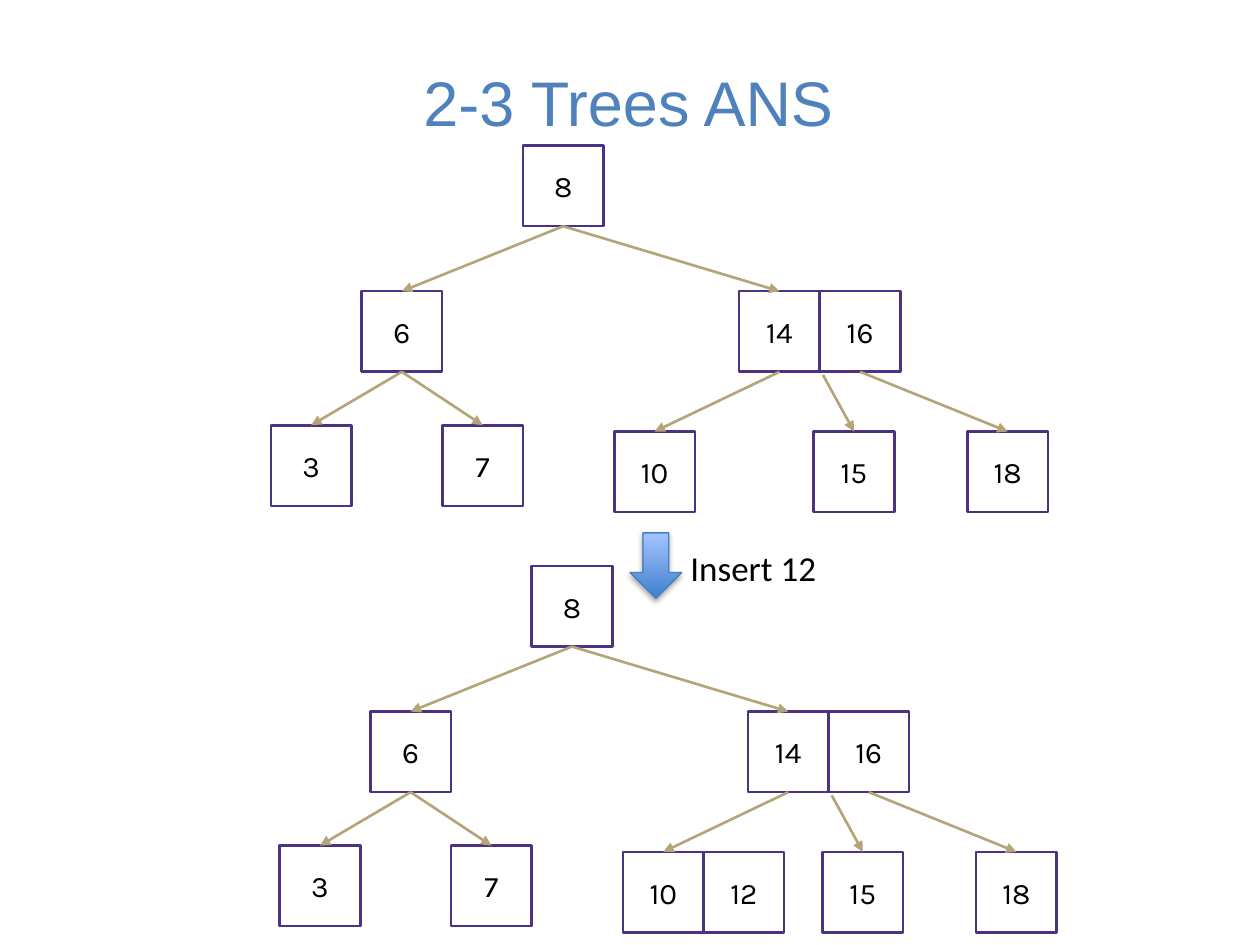
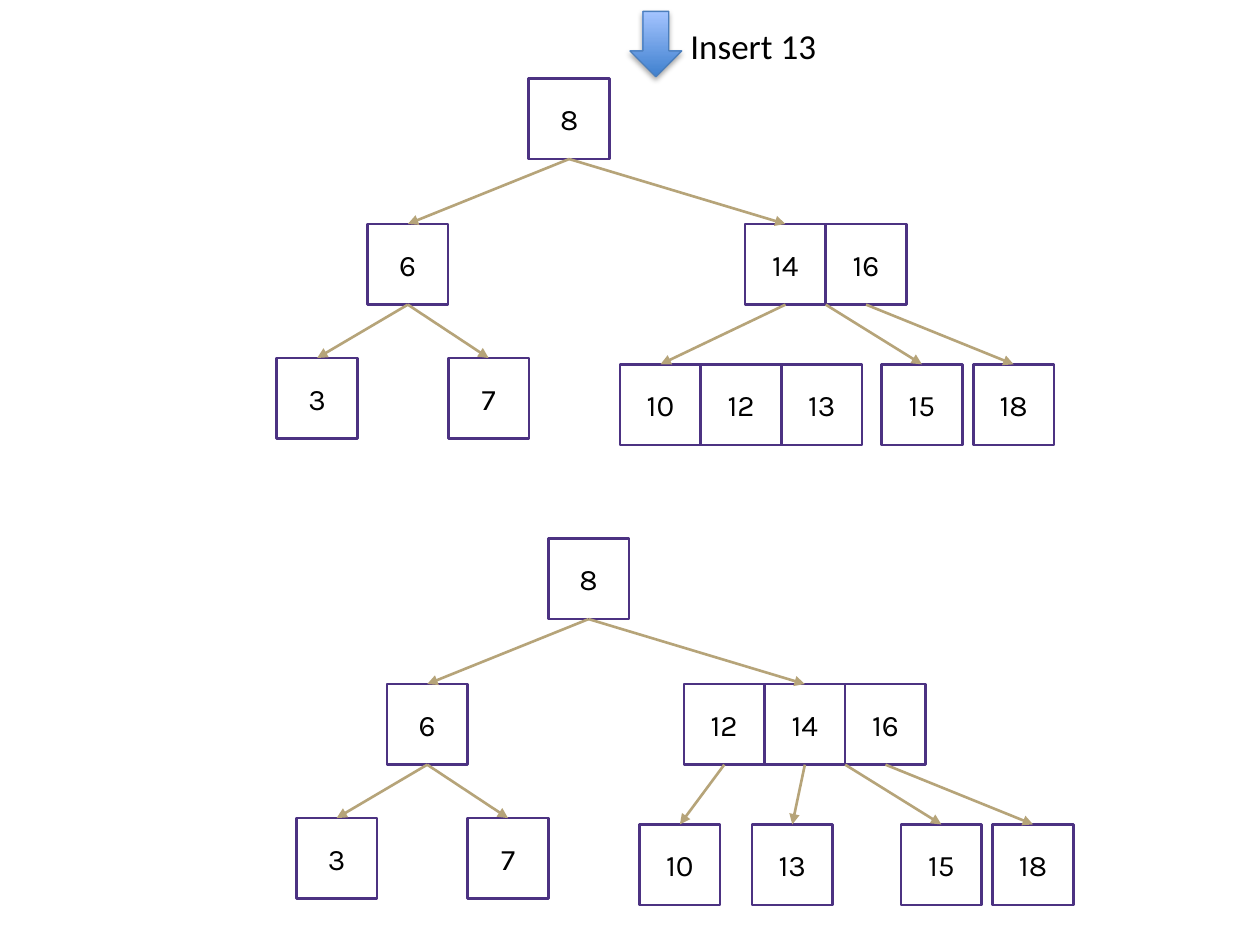
from dataclasses import dataclass

from lxml.etree import SubElement
from pptx import Presentation
from pptx.dml.color import RGBColor
from pptx.enum.shapes import MSO_CONNECTOR as Connector, MSO_SHAPE as Shape
from pptx.enum.text import MSO_ANCHOR as Anchor, PP_ALIGN as Align
from pptx.oxml.ns import qn
from pptx.util import Pt

BLANK_LAYOUT = 6
TOP, BOTTOM = 0, 2  # connection sites of a rectangle

CELL = 46.08
INNER_TOP = 83.2  # row offsets below the top of the root
LEFT_LEAF_TOP = 159.8
RIGHT_LEAF_TOP = 163.4
LEFT_INNER_X, LEFT_LEAF_XS = -92.2, (-144, -46)
KEY_14_X = 123.6


@dataclass(frozen=True)
class Theme:
    title: str = "4F81BD"
    text: str = "000000"
    cell_line: str = "4C3282"
    edge: str = "B6A479"
    arrow_line: str = "4B7EBC"
    arrow_stops: tuple = ("3F80CE", "A4C4FF")
    title_font: str = "Arial"
    key_font: str = "Karla"
    label_font: str = "Calibri"
    title_size: float = 36
    key_size: float = 17
    label_size: float = 20
    tree_line: float = 1.5
    arrow_line_width: float = 0.75


@dataclass(frozen=True)
class Tree:
    """A 2-3 tree; leaves are (x offset from the root, keys) under the right inner node."""
    left: float
    top: float
    inner_keys: tuple
    leaves: tuple
    seam_gap: float = 0


class Deck:
    def __init__(self, theme):
        self.theme = theme
        self.presentation = Presentation()
        self.presentation.slide_width = Pt(720)
        self.presentation.slide_height = Pt(540)
        self.slide = None

    def add_slide(self):
        layout = self.presentation.slide_layouts[BLANK_LAYOUT]
        self.slide = self.presentation.slides.add_slide(layout)

    def set_text(self, shape, text, font, size, color, align):
        frame = shape.text_frame
        frame.vertical_anchor = Anchor.MIDDLE
        paragraph = frame.paragraphs[0]
        paragraph.text = text
        paragraph.alignment = align
        paragraph.font.name = font
        paragraph.font.size = Pt(size)
        paragraph.font.color.rgb = RGBColor.from_string(color)

    def text_box(self, text, box, font, size, color, align=Align.LEFT, wrap=False):
        shape = self.slide.shapes.add_textbox(*map(Pt, box))
        shape.text_frame.word_wrap = wrap
        self.set_text(shape, text, font, size, color, align)

    def title(self, text):
        theme = self.theme
        self.text_box(text, (35, 13, 648, 90), theme.title_font, theme.title_size,
                      theme.title, Align.CENTER, wrap=True)

    def cell(self, key, left, top):
        theme = self.theme
        shape = self.slide.shapes.add_shape(
            Shape.RECTANGLE, Pt(left), Pt(top), Pt(CELL), Pt(CELL))
        shape.shadow.inherit = False
        shape.fill.background()
        shape.line.color.rgb = RGBColor.from_string(theme.cell_line)
        shape.line.width = Pt(theme.tree_line)
        self.set_text(shape, str(key), theme.key_font, theme.key_size, theme.text, Align.CENTER)
        return shape

    def node(self, keys, left, top):
        """Draw the keys as touching cells and return the cells."""
        return [self.cell(key, left + i * CELL, top) for i, key in enumerate(keys)]

    def edge(self, child, parent=None, start=(0, 0)):
        """Draw an arrow to the child from the parent's bottom, or from a free point."""
        line = self.slide.shapes.add_connector(Connector.STRAIGHT, *start, 0, 0)
        if parent is not None:
            line.begin_connect(parent, BOTTOM)
        line.end_connect(child, TOP)
        line.line.color.rgb = RGBColor.from_string(self.theme.edge)
        line.line.width = Pt(self.theme.tree_line)
        properties = line.element.spPr
        SubElement(properties.find(qn("a:ln")), qn("a:tailEnd"), type="triangle")
        SubElement(properties, qn("a:effectLst"))

    def tree(self, tree):
        left, top = tree.left, tree.top
        root = self.cell(8, left, top)
        six = self.cell(6, left + LEFT_INNER_X, top + INNER_TOP)
        self.edge(six, root)
        for key, x in zip((3, 7), LEFT_LEAF_XS):
            self.edge(self.cell(key, left + x, top + LEFT_LEAF_TOP), six)

        fourteen_index = tree.inner_keys.index(14)
        inner_left = left + KEY_14_X - fourteen_index * CELL
        inner = self.node(tree.inner_keys, inner_left, top + INNER_TOP)
        self.edge(inner[fourteen_index], root)

        leaves = [self.node(keys, left + x, top + RIGHT_LEAF_TOP)[0]
                  for x, keys in tree.leaves]
        *first_leaves, seam_leaf, last_leaf = leaves
        for leaf, parent in zip(first_leaves, inner):
            self.edge(leaf, parent)
        last = inner[-1]
        gap = Pt(tree.seam_gap)
        self.edge(seam_leaf, start=(last.left + gap, last.top + last.height + gap))
        self.edge(last_leaf, last)

    def insert_step(self, key, top):
        """Draw the down arrow with its "Insert" label."""
        theme = self.theme
        arrow = self.slide.shapes.add_shape(
            Shape.DOWN_ARROW, Pt(360), Pt(top), Pt(29.6), Pt(37.4))
        arrow.fill.gradient()
        arrow.fill.gradient_angle = 90
        for stop, color in zip(arrow.fill.gradient_stops, theme.arrow_stops):
            stop.color.rgb = RGBColor.from_string(color)
        arrow.line.color.rgb = RGBColor.from_string(theme.arrow_line)
        arrow.line.width = Pt(theme.arrow_line_width)
        arrow.shadow.inherit = False
        effects = arrow.element.spPr.find(qn("a:effectLst"))
        shadow = SubElement(effects, qn("a:outerShdw"), blurRad=str(Pt(3.1)),
                            dist=str(Pt(1.8)), dir="5400000", rotWithShape="0")
        color = SubElement(shadow, qn("a:srgbClr"), val=theme.text)
        SubElement(color, qn("a:alpha"), val="35000")
        self.text_box(f"Insert {key}", (387.4, top + 3.8, 87, 31.5),
                      theme.label_font, theme.label_size, theme.text)


def main():
    deck = Deck(Theme())

    deck.add_slide()
    deck.title("2-3 Trees ANS")
    deck.tree(Tree(298.8, 83.2, (14, 16),
                   ((52.2, (10,)), (166.2, (15,)), (254, (18,))), seam_gap=1.8))
    deck.tree(Tree(303.8, 323.4, (14, 16),
                   ((52.2, (10, 12)), (166.2, (15,)), (254, (18,))), seam_gap=1.8))
    deck.insert_step(12, top=304.5)

    deck.add_slide()
    deck.tree(Tree(302.2, 44.8, (14, 16),
                   ((52.2, (10, 12, 13)), (201.6, (15,)), (254, (18,)))))
    deck.tree(Tree(313.3, 307.7, (12, 14, 16),
                   ((52.2, (10,)), (116.4, (13,)), (201.6, (15,)), (254, (18,)))))
    deck.insert_step(13, top=6.5)

    deck.presentation.save("out.pptx")


if __name__ == "__main__":
    main()
